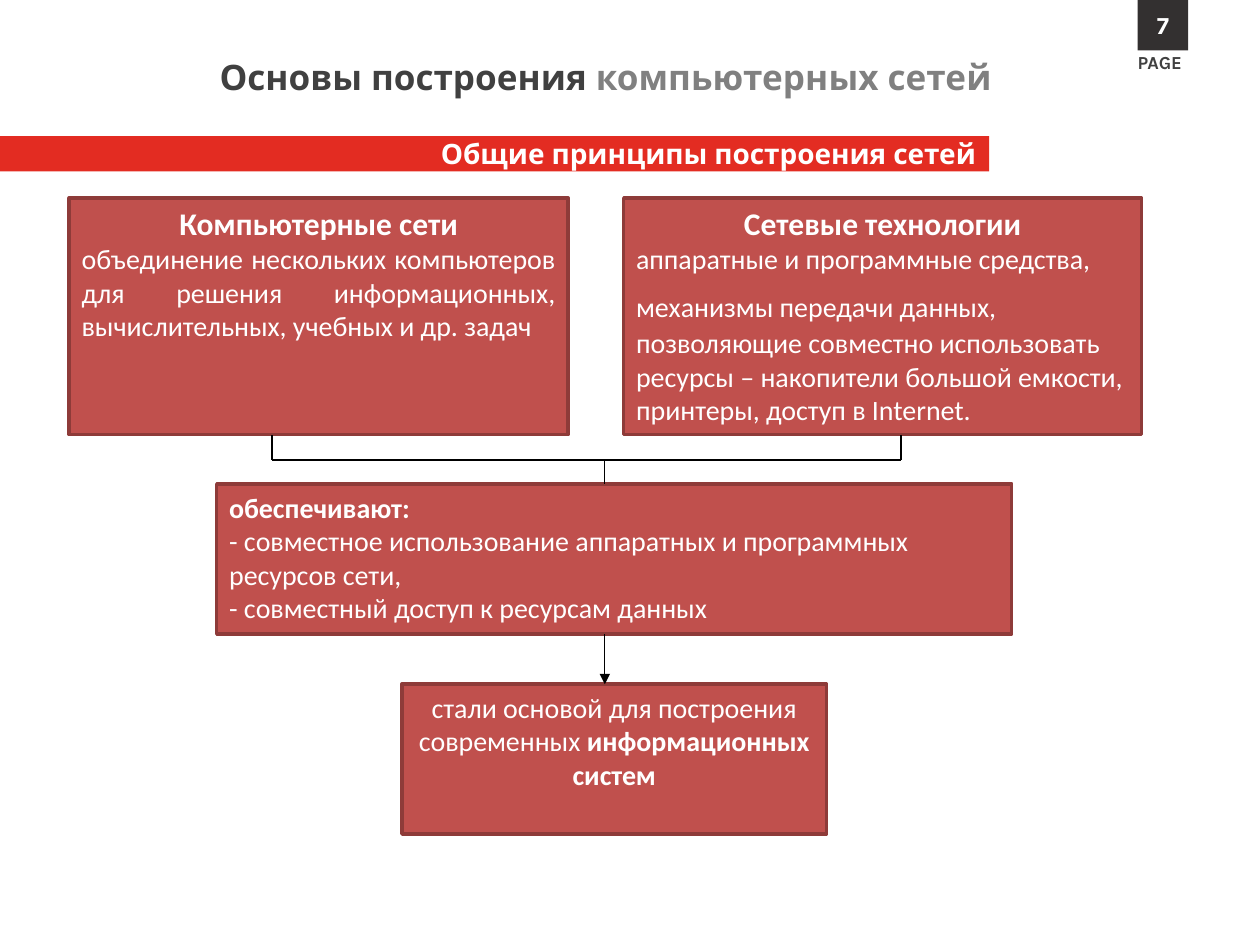
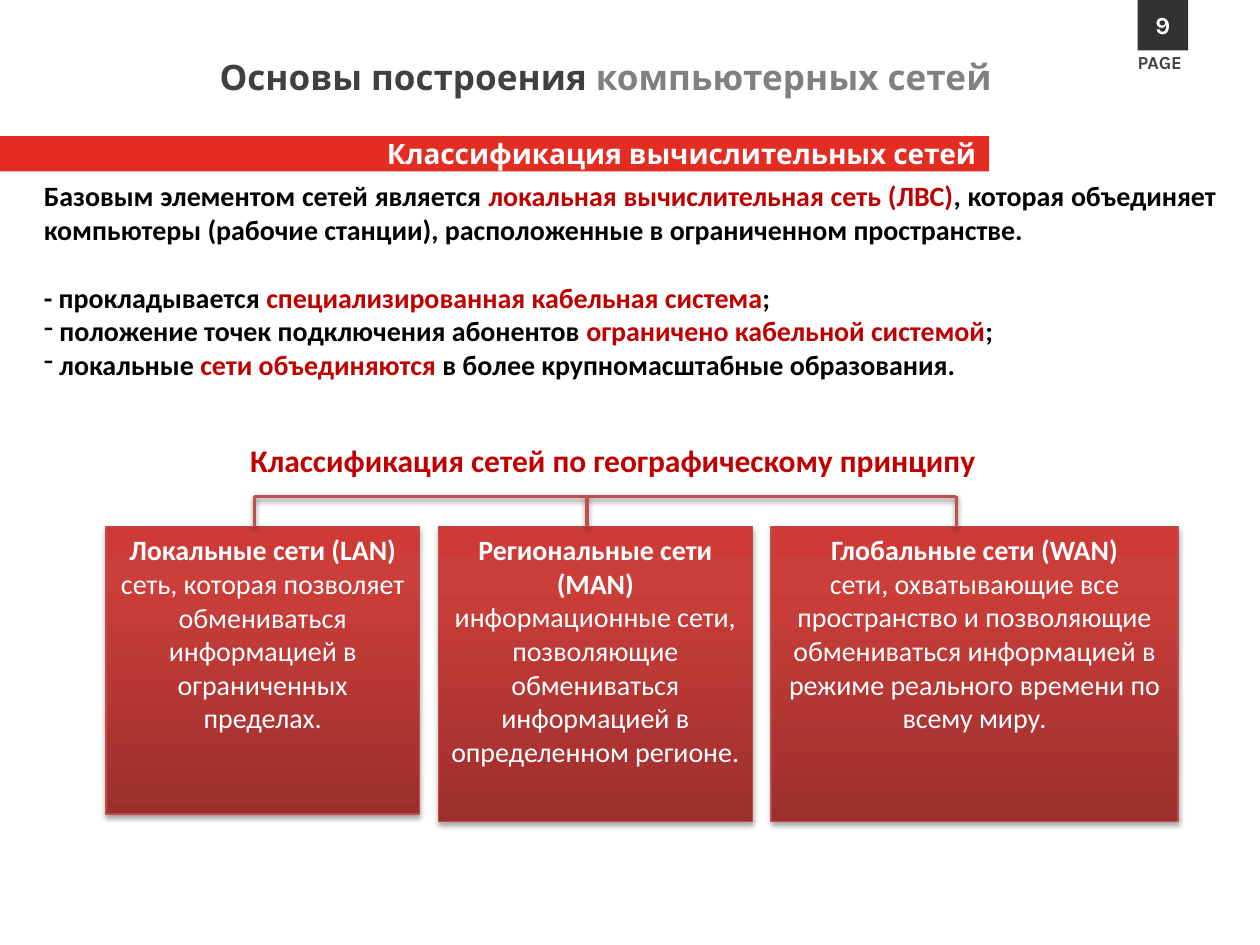
from copy import deepcopy
from dataclasses import dataclass, field

from lxml import etree
from pptx import Presentation
from pptx.dml.color import RGBColor
from pptx.enum.shapes import MSO_CONNECTOR, MSO_SHAPE
from pptx.enum.text import MSO_ANCHOR, MSO_AUTO_SIZE, PP_ALIGN
from pptx.oxml.ns import qn
from pptx.util import Pt

LEFT, CENTER, RIGHT, JUSTIFY = PP_ALIGN.LEFT, PP_ALIGN.CENTER, PP_ALIGN.RIGHT, PP_ALIGN.JUSTIFY
TOP, MIDDLE = MSO_ANCHOR.TOP, MSO_ANCHOR.MIDDLE
RECTANGLE, STRAIGHT = MSO_SHAPE.RECTANGLE, MSO_CONNECTOR.STRAIGHT
TITLE_ONLY = 5
EMU_PER_PX = 9144  # 100 px to the inch


@dataclass(frozen=True)
class Theme:
    heading_font: str = "Karla"
    body_font: str = "Calibri"
    white: str = "FFFFFF"
    black: str = "000000"
    dark: str = "404040"
    gray: str = "808080"
    band: str = "E32C22"
    page_tile: str = "333030"
    accent: str = "C00000"
    box: str = "C0504D"
    box_line: str = "8E3B39"
    card_line: str = "BF4C48"
    card_gradient: tuple = ((0, "9C2F2D"), (0.8, "CB3E3A"), (1, "CE3B37"))
    title_size: float = 20
    heading_size: float = 18
    body_size: float = 16
    gap_size: float = 24
    number_size: float = 14
    page_size: float = 10.5
    thick: float = 2
    thin: float = 0.75


THEME = Theme()


@dataclass
class Run:
    """A piece of text with what differs from its paragraph."""
    text: str
    color: str = None
    bold: bool = None
    size: float = None


@dataclass
class Para:
    runs: list = field(default_factory=list)
    align: int = LEFT
    size: float = THEME.body_size
    bold: bool = False
    color: str = THEME.white
    font: str = THEME.body_font
    space_before: float = 0
    bullet: str = None


def px(*lengths):
    return [length * EMU_PER_PX for length in lengths]


def rgb(color):
    return RGBColor.from_string(color)


def write_text(text_frame, paras, anchor=TOP, wrap=True):
    text_frame.word_wrap = wrap
    text_frame.auto_size = MSO_AUTO_SIZE.NONE
    text_frame.vertical_anchor = anchor
    for index, para in enumerate(paras):
        paragraph = text_frame.paragraphs[0] if index == 0 else text_frame.add_paragraph()
        paragraph.alignment = para.align
        if para.space_before:
            paragraph.space_before = Pt(para.space_before)
        if para.bullet:
            properties = paragraph._p.get_or_add_pPr()
            etree.SubElement(properties, qn("a:buChar"), char=para.bullet)
        font = paragraph.font
        font.name, font.size, font.bold = para.font, Pt(para.size), para.bold
        colors_agree = not any(part.color for part in para.runs)
        if colors_agree:
            font.color.rgb = rgb(para.color)
        for part in para.runs:
            run = paragraph.add_run()
            run.text = part.text
            if not colors_agree:
                run.font.color.rgb = rgb(part.color or para.color)
            if part.bold is not None:
                run.font.bold = part.bold
            if part.size:
                run.font.size = Pt(part.size)


def add_text(slide, place, paras, wrap=True):
    box = slide.shapes.add_textbox(*px(*place))
    write_text(box.text_frame, paras, wrap=wrap)


def add_rectangle(slide, place, paras, fill=None, line=None, width=THEME.thick, anchor=TOP):
    shape = slide.shapes.add_shape(RECTANGLE, *px(*place))
    shape.shadow.inherit = False
    if fill:
        shape.fill.solid()
        shape.fill.fore_color.rgb = rgb(fill)
    if line:
        shape.line.color.rgb = rgb(line)
        shape.line.width = Pt(width)
    else:
        shape.line.fill.background()
    write_text(shape.text_frame, paras, anchor)
    return shape


def add_shadow(effects, opacity, distance):
    """Put a soft shadow that falls straight down into an effect list."""
    shadow = etree.SubElement(effects, qn("a:outerShdw"), blurRad=str(Pt(3.1)),
                              dist=str(Pt(distance)), dir="5400000", rotWithShape="0")
    color = etree.SubElement(shadow, qn("a:srgbClr"), val=THEME.black)
    etree.SubElement(color, qn("a:alpha"), val=str(opacity * 1000))


def add_box(slide, place, paras):
    add_rectangle(slide, place, paras, THEME.box, THEME.box_line)


def add_card(slide, place, name, description):
    """Draw a gradient card with a bold name over a description."""
    paras = [Para([Run(name)], CENTER, bold=True), Para([Run(description)], CENTER)]
    card = add_rectangle(slide, place, paras, line=THEME.card_line, width=THEME.thin)
    card.fill.gradient()
    card.fill.gradient_angle = 90
    properties = card._element.spPr
    stops = properties.find(".//" + qn("a:gsLst"))
    stops.append(deepcopy(stops[-1]))
    for stop, (position, color) in zip(card.fill.gradient_stops, THEME.card_gradient):
        stop.position = position
        stop.color.rgb = rgb(color)
    add_shadow(properties.find(qn("a:effectLst")), 35, 1.8)


def add_line(slide, start, end, color=THEME.black, width=THEME.thin, arrow=False, shadow=False):
    connector = slide.shapes.add_connector(STRAIGHT, *px(*start, *end))
    connector.line.color.rgb = rgb(color)
    connector.line.width = Pt(width)
    if arrow:
        etree.SubElement(connector.line._get_or_add_ln(), qn("a:tailEnd"), type="triangle")
    effects = etree.SubElement(connector._element.spPr, qn("a:effectLst"))
    if shadow:
        add_shadow(effects, 38, 1.6)


def add_bracket(slide, spine_y, tips, **style):
    """Join the tips by a horizontal spine."""
    xs = [x for x, _ in tips]
    add_line(slide, (min(xs), spine_y), (max(xs), spine_y), **style)
    for x, y in tips:
        add_line(slide, (x, spine_y), (x, y), **style)


def add_framed_slide(presentation, number, topic):
    """Add a slide with the course title, the topic band and the page mark."""
    slide = presentation.slides.add_slide(presentation.slide_layouts[TITLE_ONLY])
    title = slide.shapes.title
    title.left, title.top, title.width, title.height = px(15, 39, 782, 44)
    heading = {"bold": True, "font": THEME.heading_font}
    write_text(title.text_frame, [
        Para([Run("Основы построения "), Run("компьютерных сетей", THEME.gray)],
             RIGHT, THEME.title_size, color=THEME.dark, **heading)])
    add_rectangle(slide, (0, 108, 785, 28), [Para([Run(topic)], RIGHT, **heading)],
                  THEME.band, anchor=MIDDLE)
    add_text(slide, (893, 36, 59, 28),
             [Para([Run("PAGE")], size=THEME.page_size, color=THEME.dark, **heading)], wrap=False)
    add_rectangle(slide, (903, 0, 40, 40),
                  [Para([Run(str(number))], CENTER, THEME.number_size, **heading)],
                  THEME.page_tile, anchor=MIDDLE)
    return slide


def build_principles(presentation):
    slide = add_framed_slide(presentation, 7, "Общие принципы построения сетей")
    heading = {"align": CENTER, "size": THEME.heading_size, "bold": True}
    add_box(slide, (55, 157, 396, 188), [
        Para([Run("Компьютерные сети")], **heading),
        Para([Run("объединение нескольких компьютеров для решения информационных, "
                  "вычислительных, учебных и др. задач")], JUSTIFY)])
    add_box(slide, (495, 157, 411, 188), [
        Para([Run("Сетевые технологии")], **heading),
        Para([Run("аппаратные и программные средства, механизмы передачи данных,"),
              Run(" ", size=THEME.gap_size),
              Run("позволяющие совместно использовать ресурсы – накопители большой "
                  "емкости, принтеры, доступ в Internet.")])])
    add_box(slide, (172, 384, 631, 119), [
        Para([Run("обеспечивают:")], bold=True),
        Para([Run("- совместное использование аппаратных и программных ресурсов сети,")]),
        Para([Run("- совместный доступ к ресурсам данных")])])
    add_box(slide, (319, 543, 337, 119), [
        Para([Run("стали основой для построения современных "),
              Run("информационных систем", bold=True)], CENTER)])
    add_bracket(slide, 365, [(216, 345), (715, 345), (480, 384)])
    add_line(slide, (480, 503), (480, 543), arrow=True)


def build_classification(presentation):
    slide = add_framed_slide(presentation, 9, "Классификация вычислительных сетей")
    body = {"align": JUSTIFY, "bold": True, "color": THEME.black}
    add_text(slide, (25, 137, 950, 172), [
        Para([Run("Базовым элементом сетей является "),
              Run("локальная вычислительная сеть (ЛВС)", THEME.accent),
              Run(", которая объединяет компьютеры (рабочие станции), расположенные "
                  "в ограниченном пространстве.")], **body),
        Para([Run("- прокладывается "),
              Run("специализированная кабельная система", THEME.accent),
              Run(";")], space_before=19.5, **body),
        Para([Run(" положение точек подключения абонентов "),
              Run("ограничено кабельной системой", THEME.accent),
              Run(";")], bullet="-", **body),
        Para([Run(" локальные "), Run("сети объединяются ", THEME.accent),
              Run("в более крупномасштабные образования.")], bullet="-", **body)])

    card_top = 418
    cards = [
        (84, 249, 228, "Локальные сети (LAN)",
         "сеть, которая позволяет обмениваться информацией в ограниченных пределах."),
        (348, 249, 234, "Региональные сети (MAN)",
         "информационные сети, позволяющие обмениваться информацией в определенном регионе."),
        (612, 323, 234, "Глобальные сети (WAN)",
         "сети, охватывающие все пространство и позволяющие обмениваться информацией "
         "в режиме реального времени по всему миру."),
    ]
    for left, width, height, name, description in cards:
        add_card(slide, (left, card_top, width, height), name, description)
    add_bracket(slide, 394, [(x, card_top) for x in (202, 466, 759)],
                color=THEME.box, width=THEME.thick, shadow=True)
    add_text(slide, (134, 345, 705, 40), [
        Para([Run("Классификация сетей по географическому принципу")], CENTER,
             THEME.heading_size, True, THEME.accent)])


def main():
    presentation = Presentation()
    presentation.slide_width, presentation.slide_height = px(1000, 750)
    build_principles(presentation)
    build_classification(presentation)
    presentation.save("out.pptx")


if __name__ == "__main__":
    main()
